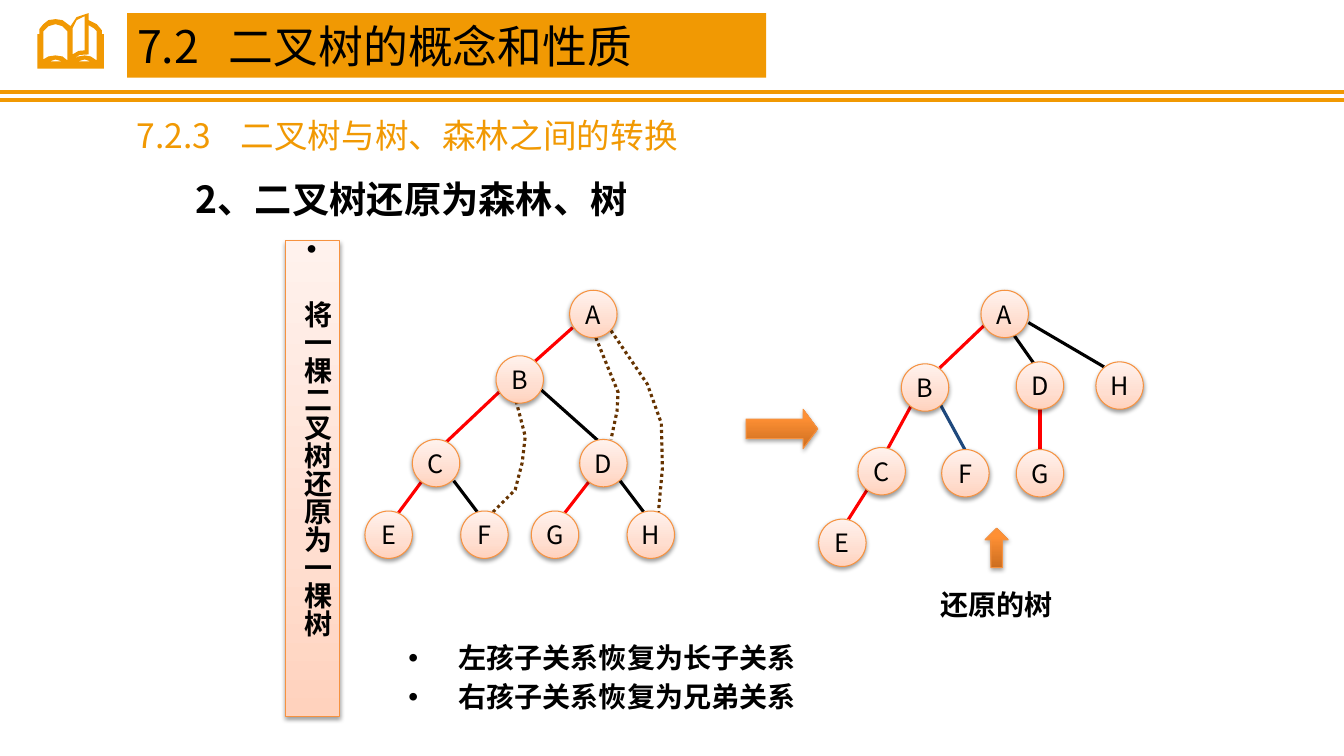
from lxml import etree
from pptx import Presentation
from pptx.dml.color import RGBColor
from pptx.enum.dml import MSO_LINE
from pptx.enum.shapes import MSO_CONNECTOR, MSO_SHAPE
from pptx.enum.text import MSO_ANCHOR, MSO_AUTO_SIZE, PP_ALIGN
from pptx.oxml.ns import qn
from pptx.util import Inches, Pt

STRAIGHT = MSO_CONNECTOR.STRAIGHT
OVAL, RECT = MSO_SHAPE.OVAL, MSO_SHAPE.RECTANGLE
RIGHT_ARROW, UP_ARROW = MSO_SHAPE.RIGHT_ARROW, MSO_SHAPE.UP_ARROW
DOTTED = MSO_LINE.ROUND_DOT
TOP, MIDDLE = MSO_ANCHOR.TOP, MSO_ANCHOR.MIDDLE
LEFT, CENTER = PP_ALIGN.LEFT, PP_ALIGN.CENTER
NO_FIT, FIT_SHAPE = MSO_AUTO_SIZE.NONE, MSO_AUTO_SIZE.SHAPE_TO_FIT_TEXT

THEME = {
    "font": "Noto Sans CJK SC",
    "orange": "F19903", "border": "F69240", "black": "000000", "white": "FFFFFF",
    "red": "FF0000", "blue": "1F497D", "brown": "663300",
    "peach": [(0, "FFD2BD"), (35, "FFDED0"), (100, "FFF2ED")],
    "amber": [(0, "CC6E20"), (80, "FF9034"), (100, "FF9136")],
    "title": 32, "heading": 26.6, "section": 24, "body": 20, "node": 18,
    "rule": 3, "edge": 2.25, "thin": 0.75,
}
COLOR = {name: RGBColor.from_string(THEME[name]) for name in
         ("orange", "border", "black", "white", "red", "blue", "brown")}

prs = Presentation()
prs.slide_width, prs.slide_height = Inches(13.33), Inches(7.5)
CELL = prs.slide_height / 75
COLUMNS = prs.slide_width / CELL
s = prs.slides.add_slide(prs.slide_layouts[1])
shapes = s.shapes


def grid(*cells):
    """Turn counts of grid cells (75 to the slide's height) into lengths."""
    return [round(n * CELL) for n in cells]


def shade(sp, stops, alpha):
    """Give a shape a vertical gradient, a thin border and a soft shadow."""
    sp.fill.gradient()
    sp.fill.gradient_angle = 90
    sp.line.color.rgb, sp.line.width = COLOR["border"], Pt(THEME["thin"])
    sp.shadow.inherit = False
    spPr = sp._element.spPr
    stop_list = spPr.find(".//" + qn("a:gsLst"))
    for old in list(stop_list):
        stop_list.remove(old)
    for percent, color in stops:
        gs = etree.SubElement(stop_list, qn("a:gs"), pos=str(percent * 1000))
        etree.SubElement(gs, qn("a:srgbClr"), val=color)
    shadow = etree.SubElement(spPr.find(qn("a:effectLst")), qn("a:outerShdw"),
                              blurRad="40000", dist="20000", dir="5400000", rotWithShape="0")
    tint = etree.SubElement(shadow, qn("a:srgbClr"), val=THEME["black"])
    etree.SubElement(tint, qn("a:alpha"), val=str(alpha * 1000))


# Straight lines: header rules, then the edges of both trees
lines = [("orange", "rule", (0, y, COLUMNS, y)) for y in (9.1, 9.9)]
lines += [(color, "edge", ends) for color, ends in [
    ("red", (56.8, 32.5, 53, 35.9)), ("red", (49.5, 38.9, 44.1, 44)),
    ("red", (41.8, 47.8, 39.5, 50.9)), ("red", (58.4, 47.8, 56, 50.9)),
    ("black", (53.7, 38.7, 59.3, 43.7)), ("black", (45, 47.7, 47.5, 51)),
    ("black", (61.5, 47.7, 64, 51)),
    ("black", (102, 32, 109.5, 36.4)), ("black", (100.6, 33.3, 102.5, 36)),
    ("red", (97.6, 32.3, 93.2, 36.5)), ("red", (90.4, 40.2, 88, 44.6)),
    ("red", (103.15, 40.6, 103.15, 44.7)), ("red", (86, 48.6, 84.1, 51.6)),
    ("blue", (93.3, 40.2, 95.7, 44.6))]]
for color, width, ends in lines:
    c = shapes.add_connector(STRAIGHT, *grid(*ends))
    c.line.color.rgb, c.line.width = COLOR[color], Pt(THEME[width])
    etree.SubElement(c._element.spPr, qn("a:effectLst"))

# Open book: outline first, then the holes
book = [
    [(10.1, 3.4), (10.1, 3), (9.6, 2.4), (8.8, 2), (8.8, 1.3), (7.6, 1.7), (7, 2.6),
     (6.2, 2), (5.5, 1.9), (4.8, 2), (4.3, 2.4), (3.9, 2.9), (3.9, 3.4), (3.7, 3.4),
     (3.7, 6.8), (10.3, 6.8), (10.3, 3.4)],
    [(6.7, 6), (6.2, 5.6), (5.5, 5.5), (4.8, 5.6), (4.3, 5.9), (4.3, 3.1), (4.8, 2.6),
     (5.5, 2.4), (6.2, 2.6), (6.7, 3.1)],
    [(8.4, 1.6), (8.4, 5), (7.8, 5.05), (7.2, 5.4), (7.2, 2.8), (7.6, 2)],
    [(9.6, 6), (9, 5.6), (8.4, 5.5), (7.8, 5.6), (7.2, 5.9), (7.9, 5.45), (8.8, 5.4),
     (8.8, 2.5), (9.3, 2.8), (9.6, 3.1)],
    [(4.9, 6.1), (5.5, 5.9), (6.2, 6.1)],
    [(7.7, 6.1), (8.4, 5.9), (9, 6.1)],
]
outline = shapes.build_freeform(*grid(*book[0][0]))
for i, contour in enumerate(book):
    if i:
        outline.move_to(*grid(*contour[0]))
    outline.add_line_segments([grid(*point) for point in contour[1:]])
sp = outline.convert_to_shape()
sp.shadow.inherit = False
sp.fill.solid()
sp.fill.fore_color.rgb = COLOR["orange"]
sp.line.fill.background()

# Dotted sibling links of the binary tree
for link in [
    [(59.1, 33.5), (60.4, 36.7), (61.3, 38.9), (61.2, 40.8), (60.6, 43.6)],
    [(51.2, 39.8), (52.1, 43.3), (51.8, 45.9), (51.1, 48.6), (48.8, 50.9)],
    [(60.6, 32.8), (64.2, 38.1), (65.6, 42), (65.7, 46.5), (65.3, 50.9)],
]:
    path = shapes.build_freeform(*grid(*link[0]))
    path.add_line_segments([grid(*point) for point in link[1:]], close=False)
    sp = path.convert_to_shape()
    sp.shadow.inherit = False
    sp.fill.background()
    sp.line.color.rgb, sp.line.width = COLOR["brown"], Pt(THEME["edge"])
    sp.line.dash_style = DOTTED

# Each text: shape, lines, frame formats, paragraph formats, size, colour, bold, bullet, tab
texts = []
tight = {"margin_top": 0, "margin_bottom": 0, "vertical_anchor": MIDDLE,
         "word_wrap": True, "auto_size": NO_FIT}
centred, flush = {"alignment": CENTER}, {"alignment": LEFT}

NODE = 4.7
binary_tree = {"A": (56.5, 28.8), "B": (49.2, 35.3), "C": (40.9, 43.6), "D": (57.5, 43.6),
               "E": (36.2, 50.7), "F": (45.7, 50.7), "G": (52.7, 50.7), "H": (62.2, 50.7)}
restored_tree = {"A": (97.3, 28.8), "B": (89.4, 36.1), "C": (85.1, 44.4), "D": (100.8, 35.9),
                 "E": (81.2, 51.5), "F": (93.4, 44.6), "G": (100.8, 44.6), "H": (108.7, 35.9)}
for tree in (binary_tree, restored_tree):
    for letter, corner in tree.items():
        sp = shapes.add_shape(OVAL, *grid(*corner, NODE, NODE))
        shade(sp, THEME["peach"], 38)
        texts.append((sp, [letter], {**tight, "word_wrap": False}, centred,
                      "node", "black", False, False, None))

for kind, box, proportions in [(RIGHT_ARROW, (74, 40.6, 7.1, 3.9), (0.5, 0.37)),
                               (UP_ARROW, (97.7, 52.4, 2.3, 3.9), (0.5, 0.5))]:
    sp = shapes.add_shape(kind, *grid(*box))
    sp.adjustments[0], sp.adjustments[1] = proportions
    shade(sp, THEME["amber"], 35)

title, body = shapes.title, s.placeholders[1]
for sp, box, fill in [(title, (12.6, 1.3, 63.4, 6.4), "orange"),
                      (body, (39.5, 62.5, 76.6, 8.8), "white")]:
    sp.left, sp.top, sp.width, sp.height = grid(*box)
    sp.fill.solid()
    sp.fill.fore_color.rgb = COLOR[fill]
texts += [
    (title, ["7.2\t二叉树的概念和性质"], tight, flush, "title", "black", False, False, 9.1),
    (body, ["左孩子关系恢复为长子关系", "右孩子关系恢复为兄弟关系"],
     {"vertical_anchor": TOP, "auto_size": NO_FIT},
     {"alignment": LEFT, "line_spacing": Pt(28), "space_before": Pt(0)},
     "body", "black", True, True, None),
]

for box, line, size, color, bold, tab in [
    ((12.6, 10.9, 63.3, 5), "7.2.3\t二叉树与树、森林之间的转换", "section", "orange", False, 10.3),
    ((15.1, 17, 51.5, 5.5), "2、二叉树还原为森林、树", "heading", "black", True, None),
    ((92.3, 57.8, 14.6, 4.4), "还原的树", "body", "black", True, None),
]:
    sp = shapes.add_textbox(*grid(*box))
    texts.append((sp, [line], tight, centred if size == "heading" else flush,
                  size, color, bold, False, tab))

banner = shapes.add_shape(RECT, *grid(28.3, 23.9, 5.4, 47.2))
shade(banner, THEME["peach"], 38)
banner.text_frame._txBody.bodyPr.set("vert", "eaVert")
texts.append((banner, ["将一棵二叉树还原为一棵树"],
              {"vertical_anchor": TOP, "word_wrap": True, "auto_size": FIT_SHAPE},
              centred, "body", "black", True, True, None))

for sp, content, frame, layout, size, color, bold, bullet, tab in texts:
    tf = sp.text_frame
    for name, value in frame.items():
        setattr(tf, name, value)
    for i, line in enumerate(content):
        p = tf.add_paragraph() if i else tf.paragraphs[0]
        pPr = p._p.get_or_add_pPr()
        if bullet:
            indent = grid(5)[0]
            pPr.set("marL", str(indent))
            pPr.set("indent", str(-indent))
            etree.SubElement(pPr, qn("a:buFont"), typeface="Arial")
            etree.SubElement(pPr, qn("a:buChar"), char="•")
        if tab:
            tabs = etree.SubElement(pPr, qn("a:tabLst"))
            etree.SubElement(tabs, qn("a:tab"), pos=str(grid(tab)[0]), algn="l")
        for name, value in layout.items():
            setattr(p, name, value)
        r = p.add_run()
        r.text = line
        for name, value in {"name": THEME["font"], "size": Pt(THEME[size]), "bold": bold}.items():
            setattr(r.font, name, value)
        r.font.color.rgb = COLOR[color]
        etree.SubElement(r._r.rPr, qn("a:ea"), typeface=THEME["font"])

prs.save("out.pptx")
